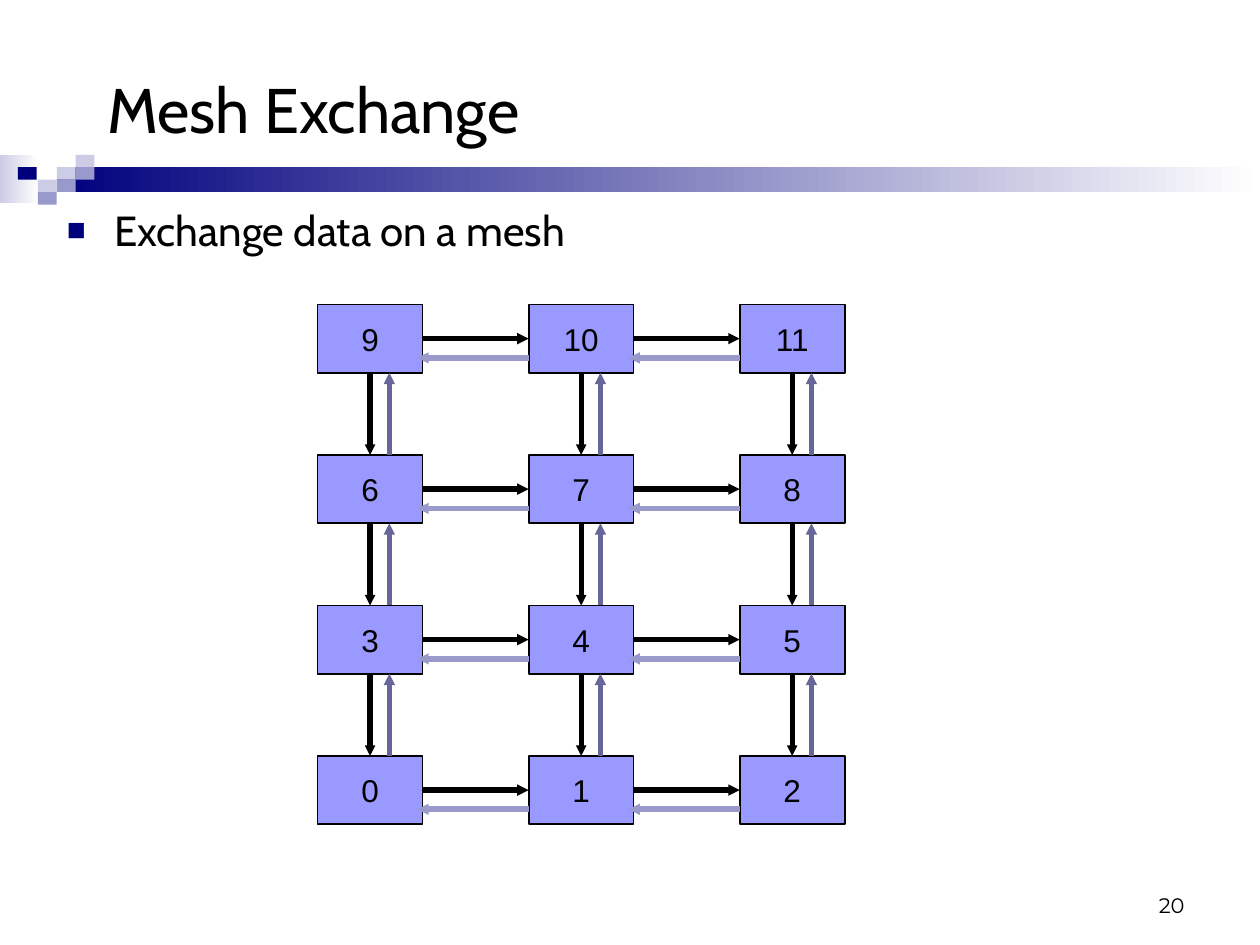
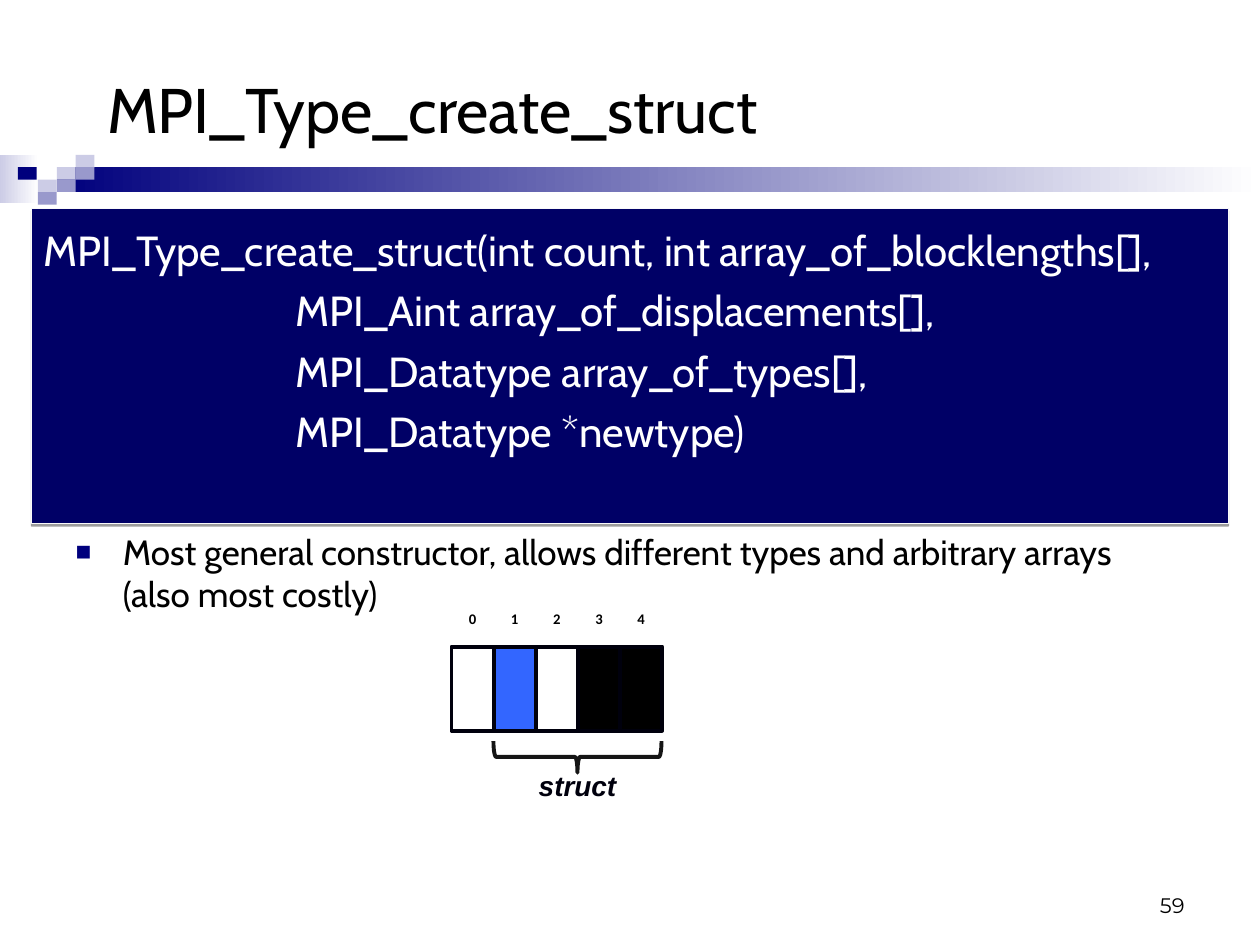
from lxml import etree
from pptx import Presentation
from pptx import util as u
from pptx.dml import color as dml
from pptx.enum import shapes, text
from pptx.oxml import ns

Pt = u.Pt

COLORS = {
    "white": "FFFFFF", "black": "000000", "navy": "00007D", "mist": "CCCCE6",
    "lilac": "9999CC", "node": "9999FF", "slate": "666699", "panel": "000066",
    "panel_edge": "F9F9F9", "ink": "00000D", "blue": "3366FF", "brace": "151515",
}

TITLE_BOX = (54, 30, 606, 64)
NUMBER_BOX = (516, 492, 168, 36)

GRADIENT_BANDS = [((0, 88.5, 22, 27.5), "mist"), ((32.5, 95.5, 687.5, 14.5), "navy")]
MOSAIC_SIZE = (10.8, 7.2)
MOSAIC = [
    (32.5, 95.5, "mist"), (43.2, 88.5, "mist"), (43.2, 95.5, "lilac"),
    (21.6, 102.7, "mist"), (10.2, 95.5, "navy"), (32.5, 102.5, "lilac"),
    (21.6, 109.8, "lilac"),
]

MESH = {
    "title": "Mesh Exchange",
    "number": "20",
    "bullet": "Exchange data on a mesh",
    "bullet_box": (31, 113, 664.5, 55),
    "ranks": [[9, 10, 11], [6, 7, 8], [3, 4, 5], [0, 1, 2]],
    "origin": (181.5, 174),
    "step": (120.6, 86),
    "node_size": (60, 39),
    "return_offset": 11,
    "overlap": 3,
}

STRUCT = {
    "title": "MPI_Type_create_struct",
    "number": "59",
    "bullet": "Most general constructor, allows different types and arbitrary arrays "
              "(also most costly)",
    "bullet_box": (36, 299.5, 648, 78),
    "code": [
        ("MPI_Type_create_struct(int count, int array_of_blocklengths[],", 0),
        ("MPI_Aint array_of_displacements[],", 144),
        ("MPI_Datatype array_of_types[],", 144),
        ("MPI_Datatype *newtype)", 144),
    ],
    "code_box": (18, 119, 684, 180),
    "cells": [("0", None), ("1", "blue"), ("2", None), ("3", "black"), ("4", "black")],
    "cells_left": 258,
    "cell_size": (24.1, 48),
    "cells_top": 369.5,
    "index_top": 345.6,
    "index_height": 18,
    "brace": (321, 384.5, 18, 96),
    "label": "struct",
    "label_box": (300, 435.5, 60, 26.5),
}


def rgb(name):
    return dml.RGBColor.from_string(COLORS[name])


def add_xml(parent, tag, **attributes):
    child = etree.SubElement(parent, ns.qn(tag))
    for key, value in attributes.items():
        child.set(key, str(value))
    return child


def write(frame, lines, size, font, color="black", align=text.PP_ALIGN.LEFT,
          anchor=text.MSO_ANCHOR.TOP, bold=False, italic=False, spacing=None,
          wrap=True, bullet=False):
    frame.word_wrap = wrap
    frame.auto_size = text.MSO_AUTO_SIZE.NONE
    frame.vertical_anchor = anchor
    for index, (content, indent) in enumerate(lines):
        paragraph = frame.paragraphs[0] if index == 0 else frame.add_paragraph()
        run = paragraph.add_run()
        run.text = content
        properties = paragraph._p.get_or_add_pPr()
        properties.set("marL", str(Pt(27 if bullet else indent)))
        properties.set("indent", str(Pt(-27 if bullet else 0)))
        if bullet:
            marker = add_xml(properties, "a:buClr")
            add_xml(marker, "a:srgbClr", val=COLORS["navy"])
            add_xml(properties, "a:buSzPct", val=75000)
            add_xml(properties, "a:buFont", typeface="Arial")
            add_xml(properties, "a:buChar", char="■")
        paragraph.alignment = align
        paragraph.space_before = Pt(0)
        if spacing:
            paragraph.line_spacing = spacing
        run.font.name, run.font.size = font, Pt(size)
        run.font.bold, run.font.italic = bold, italic
        run.font.color.rgb = rgb(color)


def place(shape, box):
    shape.left, shape.top, shape.width, shape.height = map(Pt, box)


def add_box(slide, box, fill=None, line=None, weight=1,
            kind=shapes.MSO_SHAPE.RECTANGLE):
    shape = slide.shapes.add_shape(kind, *map(Pt, box))
    shape.shadow.inherit = False
    if fill:
        shape.fill.solid()
        shape.fill.fore_color.rgb = rgb(fill)
    else:
        shape.fill.background()
    if line:
        shape.line.color.rgb = rgb(line)
        shape.line.width = Pt(weight)
    else:
        shape.line.fill.background()
    return shape


def add_text(slide, box, content, **style):
    write(slide.shapes.add_textbox(*map(Pt, box)).text_frame, [(content, 0)], **style)


def add_arrow(slide, start, end, color, weight=3.25):
    arrow = slide.shapes.add_connector(
        shapes.MSO_CONNECTOR.STRAIGHT, *map(Pt, (*start, *end)))
    arrow.line.color.rgb = rgb(color)
    arrow.line.width = Pt(weight)
    add_xml(arrow.line._get_or_add_ln(), "a:tailEnd", type="triangle", w="sm", len="sm")
    add_xml(arrow.element.spPr, "a:effectLst")
    return arrow


def decorate_master(slide, master):
    parts = []
    for box, color in GRADIENT_BANDS:
        band = add_box(slide, box)
        band.fill.gradient()
        band.fill.gradient_angle = 0
        for stop, position, shade in zip(band.fill.gradient_stops, (0, 1), (color, "white")):
            stop.position = position
            stop.color.rgb = rgb(shade)
        parts.append(band)
    parts += [add_box(slide, (x, y, *MOSAIC_SIZE), color) for x, y, color in MOSAIC]
    for part in parts:
        master.shapes.element.append(part.element)


def add_page(deck, content, size):
    slide = deck.slides.add_slide(deck.slide_layouts[1])
    title, body = slide.placeholders
    place(title, TITLE_BOX)
    write(title.text_frame, [(content["title"], 0)], size=36, font="Cabin",
          anchor=text.MSO_ANCHOR.MIDDLE)
    place(body, content["bullet_box"])
    write(body.text_frame, [(content["bullet"], 0)], size=size, font="Cabin", bullet=True)
    add_text(slide, NUMBER_BOX, content["number"], size=12, font="Montserrat",
             align=text.PP_ALIGN.RIGHT, anchor=text.MSO_ANCHOR.BOTTOM)
    return slide


def draw_mesh(slide):
    (left, top), (step_x, step_y) = MESH["origin"], MESH["step"]
    width, height = MESH["node_size"]
    offset = MESH["return_offset"]
    nodes = {}
    for row, ranks in enumerate(MESH["ranks"]):
        for column, rank in enumerate(ranks):
            node = add_box(slide, (left + column * step_x, top + row * step_y, width, height),
                           "node", "black")
            write(node.text_frame, [(str(rank), 0)], size=18, font="Arial", wrap=False,
                  align=text.PP_ALIGN.CENTER, anchor=text.MSO_ANCHOR.MIDDLE)
            nodes[row, column] = node
    for (row, column), node in nodes.items():
        x, y = left + column * step_x, top + row * step_y
        middle_x, middle_y = x + width / 2, y + height / 2
        below, right = nodes.get((row + 1, column)), nodes.get((row, column + 1))
        if below:
            down = add_arrow(slide, (middle_x, y + height), (middle_x, y + step_y), "black", 3)
            down.begin_connect(node, 2)
            down.end_connect(below, 0)
            add_arrow(slide, (middle_x + offset, y + step_y),
                      (middle_x + offset, y + height), "slate")
        if right:
            forward = add_arrow(slide, (x + width, middle_y), (x + step_x, middle_y), "black")
            forward.begin_connect(node, 3)
            forward.end_connect(right, 1)
            add_arrow(slide, (x + step_x, middle_y + offset),
                      (x + width - MESH["overlap"], middle_y + offset), "lilac")


def draw_struct(slide):
    panel = add_box(slide, STRUCT["code_box"], "panel", "panel_edge", 0.75)
    effects = panel.element.spPr.find(ns.qn("a:effectLst"))
    shadow = add_xml(effects, "a:outerShdw", blurRad=0, dist=Pt(1.6), dir=5400000,
                     rotWithShape=0)
    add_xml(add_xml(shadow, "a:srgbClr", val=COLORS["black"]), "a:alpha", val=38000)
    write(panel.text_frame, STRUCT["code"], size=24, font="Cabin", color="white", spacing=1.2)

    width, height = STRUCT["cell_size"]
    for index, (number, fill) in enumerate(STRUCT["cells"]):
        x = STRUCT["cells_left"] + index * width
        add_box(slide, (x, STRUCT["cells_top"], width, height), fill, "ink", 2.25)
        heading = add_box(slide, (x, STRUCT["index_top"], width, STRUCT["index_height"]),
                          line="white", weight=2.25)
        write(heading.text_frame, [(number, 0)], size=8.4, font="Calibri", bold=True,
              align=text.PP_ALIGN.CENTER, anchor=text.MSO_ANCHOR.MIDDLE, spacing=0.8)
    add_text(slide, STRUCT["label_box"], STRUCT["label"], size=16, font="Arial", color="ink",
             bold=True, italic=True, align=text.PP_ALIGN.CENTER)
    brace = add_box(slide, STRUCT["brace"], line="brace", weight=2.25,
                    kind=shapes.MSO_SHAPE.LEFT_BRACE)
    brace.rotation = 270


def main():
    deck = Presentation()
    deck.slide_width, deck.slide_height = Pt(720), Pt(540)
    mesh_slide = add_page(deck, MESH, 24)
    decorate_master(mesh_slide, deck.slide_master)
    draw_mesh(mesh_slide)
    draw_struct(add_page(deck, STRUCT, 20))
    deck.save("out.pptx")


if __name__ == "__main__":
    main()
